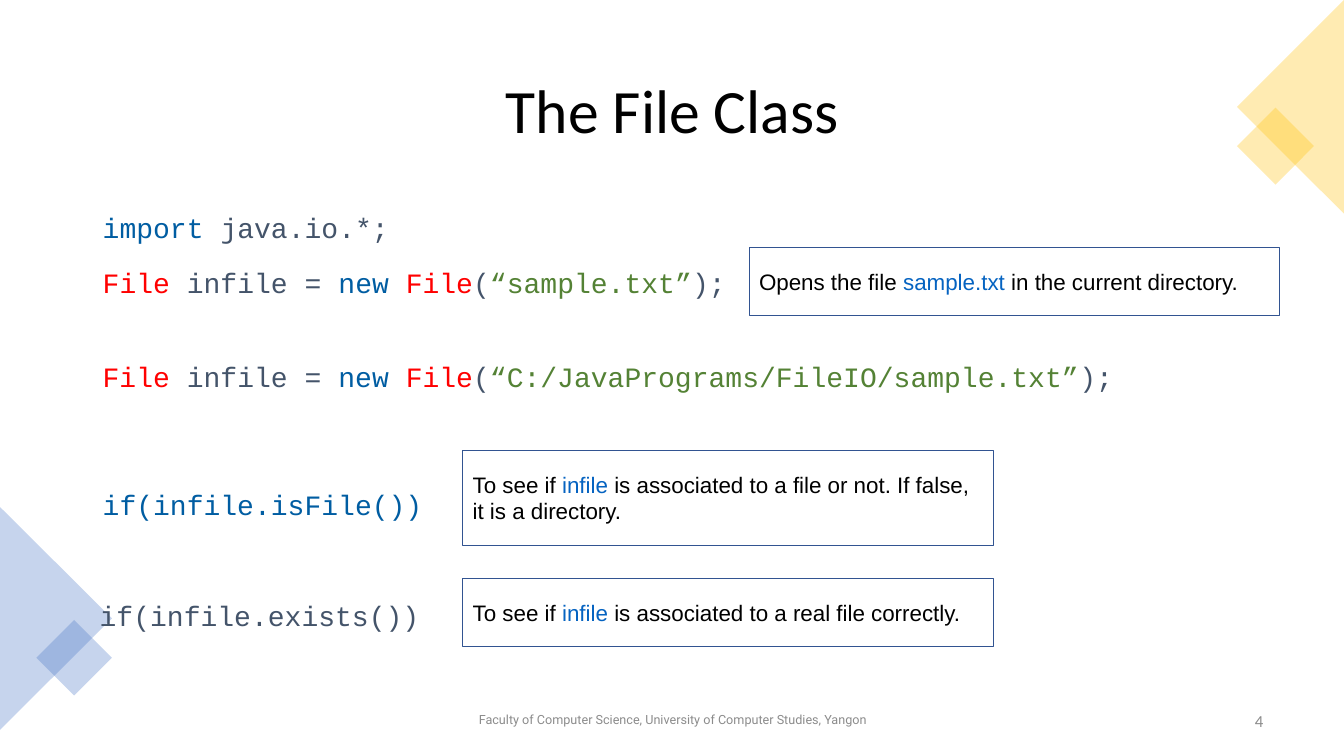
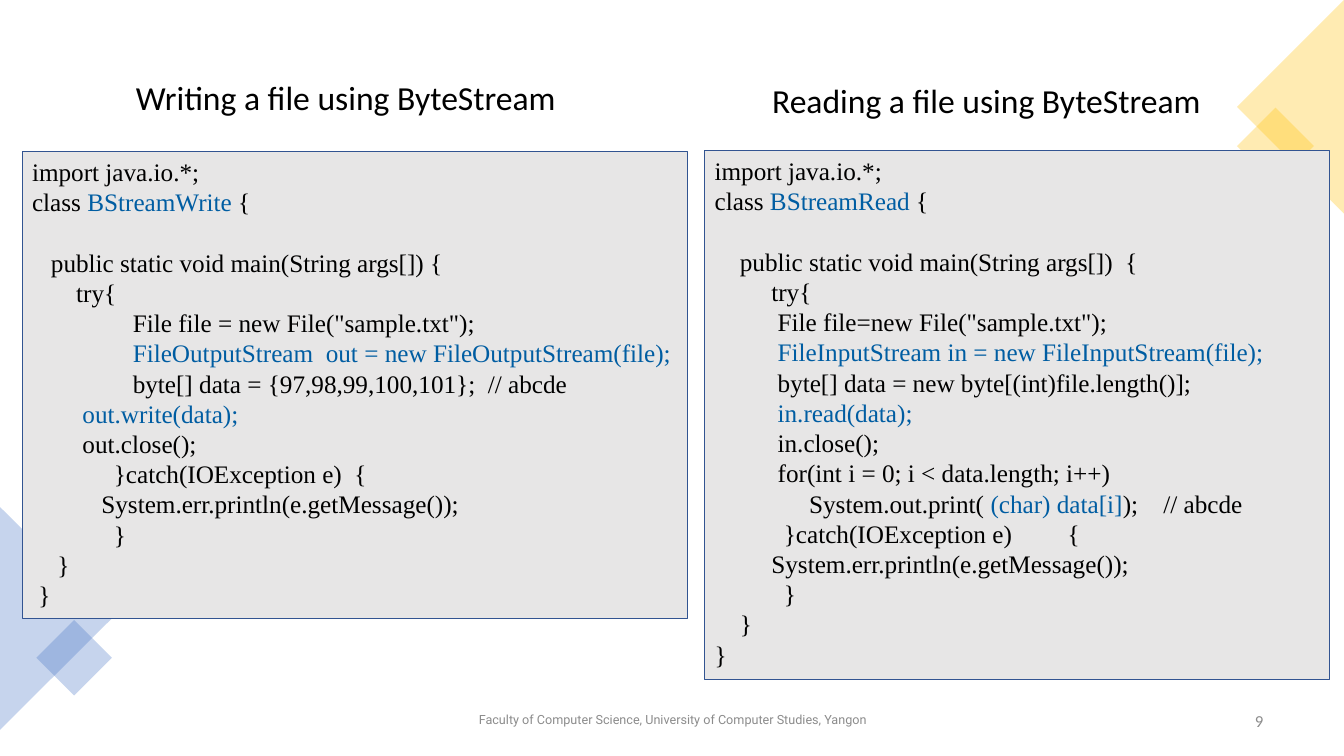
import pptx
import pptx.util
import pptx.dml.color
import pptx.enum.shapes
import pptx.enum.text
import pptx.oxml.ns
from dataclasses import dataclass
from lxml import etree

Inches = pptx.util.Inches
Pt = pptx.util.Pt
Kind = pptx.enum.shapes.MSO_SHAPE
Align = pptx.enum.text.PP_ALIGN
Anchor = pptx.enum.text.MSO_ANCHOR


@dataclass(frozen=True)
class Theme:
    black: str = "000000"
    slate: str = "44546A"
    blue: str = "005DA2"
    link: str = "0563C1"
    red: str = "FF0000"
    green: str = "548235"
    gray: str = "8C8C8C"
    panel: str = "E7E6E6"
    edge: str = "325491"
    cool: str = "4472C4"
    warm: str = "FFC000"
    sans: str = "Calibri"
    mono: str = "Courier New"
    serif: str = "Times New Roman"
    note: str = "Arial"
    small: str = "Roboto"
    title: int = 44
    head: int = 24
    code: int = 20
    block: int = 18
    call: int = 16
    page: int = 12
    foot: int = 9


T = Theme()


class Deck:
    """Holds the style and the current slide, and draws each kind of element."""

    def __init__(self):
        self.file = pptx.Presentation()
        self.file.slide_width = Inches(13.33)
        self.file.slide_height = Inches(7.5)
        self.slide = None

    def start(self, page):
        self.slide = self.file.slides.add_slide(self.file.slide_layouts[6])
        self.decor(Kind.ISOSCELES_TRIANGLE, -0.55, 5.58, 2.21, 1.11, 90, T.cool)
        self.decor(Kind.RECTANGLE, 0.47, 6.26, 0.53, 0.53, 45, T.cool)
        self.decor(Kind.RECTANGLE, 12.38, 1.18, 0.54, 0.54, 45, T.warm)
        self.decor(Kind.ISOSCELES_TRIANGLE, 11.74, 0.53, 2.12, 1.06, 270, T.warm)
        self.label("Faculty of Computer Science, University of Computer Studies, Yangon",
                   4.42, 6.95, 4.5, 0.4, T.small, T.foot, T.gray, Align.CENTER, Anchor.MIDDLE, 0.9)
        self.label(str(page), 9.63, 6.95, 3, 0.4, T.sans, T.page, T.gray,
                   Align.RIGHT, Anchor.MIDDLE)

    def shape(self, kind, x, y, w, h, fill=None, edge=None):
        item = self.slide.shapes.add_shape(kind, Inches(x), Inches(y), Inches(w), Inches(h))
        item.shadow.inherit = False
        if fill:
            item.fill.solid()
            item.fill.fore_color.rgb = self.tint(fill)
        else:
            item.fill.background()
        if edge:
            item.line.color.rgb = self.tint(edge)
            item.line.width = Pt(0.75)
        else:
            item.line.fill.background()
        return item

    def decor(self, kind, x, y, w, h, turn, color):
        item = self.shape(kind, x, y, w, h, color)
        item.rotation = turn
        tag = pptx.oxml.ns.qn
        hue = item.element.spPr.find(tag("a:solidFill")).find(tag("a:srgbClr"))
        etree.SubElement(hue, tag("a:alpha")).set("val", "30000")

    def tint(self, color):
        return pptx.dml.color.RGBColor.from_string(color)

    def put(self, frame, lines, font, size, color, align=Align.LEFT, lead=None):
        frame.word_wrap = True
        first, gap = True, 0
        for line in lines:
            if not line:
                gap += size * 1.2
                continue
            para = frame.paragraphs[0] if first else frame.add_paragraph()
            para.alignment = align
            para.font.name, para.font.size = font, Pt(size)
            para.font.color.rgb = self.tint(color)
            if lead:
                para.line_spacing = lead
            if gap:
                para.space_before = Pt(gap)
            for part in [line] if isinstance(line, str) else line:
                text, hue = (part, None) if isinstance(part, str) else part
                run = para.add_run()
                run.text = text
                if hue:
                    run.font.color.rgb = self.tint(hue)
            first, gap = False, 0

    def label(self, line, x, y, w, h, font, size, color=T.black,
              align=Align.LEFT, anchor=Anchor.TOP, lead=None):
        box = self.slide.shapes.add_textbox(Inches(x), Inches(y), Inches(w), Inches(h))
        box.text_frame.vertical_anchor = anchor
        self.put(box.text_frame, [line], font, size, color, align, lead)

    def code(self, line, x, y, w):
        self.label(line, x, y, w, 0.41, T.mono, T.code, T.slate, lead=0.9)

    def call(self, line, x, y, h):
        frame = self.shape(Kind.RECTANGLE, x, y, 5.26, h, edge=T.edge).text_frame
        frame.vertical_anchor = Anchor.TOP
        frame.margin_top = frame.margin_bottom = Inches(0.2)
        self.put(frame, [line], T.note, T.call, T.black)

    def panel(self, lines, x, y, w, h):
        frame = self.shape(Kind.RECTANGLE, x, y, w, h, T.panel, T.edge).text_frame
        frame.vertical_anchor = Anchor.TOP
        self.put(frame, lines, T.serif, T.block, T.black)


def opening(name):
    return [("File", T.red), " infile = ", ("new ", T.blue), ("File", T.red),
            "(", (f"“{name}”", T.green), ");"]


WRITER = [
    "import java.io.*;",
    ["class ", ("BStreamWrite", T.blue), " {"],
    "",
    "   public static void main(String args[]) {",
    "       try{",
    '                File file = new File("sample.txt");',
    [("                FileOutputStream  out = new FileOutputStream(file);", T.blue)],
    "                byte[] data = {97,98,99,100,101};  // abcde",
    [("\tout.write(data);", T.blue)],
    "\tout.close();",
    "             }catch(IOException e)  {",
    "\t   System.err.println(e.getMessage());",
    "             }",
    "    }",
    " }",
]

READER = [
    "import java.io.*;",
    ["class ", ("BStreamRead", T.blue), " {"],
    "",
    "    public static void main(String args[])  {",
    "         try{",
    '\t  File file=new File("sample.txt");',
    [("\t  FileInputStream in = new FileInputStream(file);", T.blue)],
    "\t  byte[] data = new byte[(int)file.length()];",
    [("\t  in.read(data);", T.blue)],
    "\t  in.close();",
    "\t  for(int i = 0; i < data.length; i++)",
    ["\t       System.out.print( ", ("(char) data[i]", T.blue), ");    // abcde"],
    "           }catch(IOException e)  \t{",
    "\t System.err.println(e.getMessage());",
    "           }",
    "    }",
    "}",
]


def main():
    deck = Deck()

    deck.start(4)
    deck.label("The File Class", 0.92, 0.4, 11.5, 1.45, T.sans, T.title,
               align=Align.CENTER, anchor=Anchor.MIDDLE, lead=0.9)
    deck.code([("import", T.blue), " java.io.*;"], 0.92, 2.08, 3.61)
    deck.code(opening("sample.txt"), 0.92, 2.62, 6.85)
    deck.code(opening("C:/JavaPrograms/FileIO/sample.txt"), 0.92, 3.55, 10.47)
    deck.code([("if(infile.isFile())", T.blue)], 0.92, 4.82, 3.61)
    deck.code("if(infile.exists())", 0.89, 5.93, 3.61)
    infile = ("infile", T.link)
    deck.call(["Opens the file ", ("sample.txt", T.link), " in the current directory."],
              7.43, 2.46, 0.67)
    deck.call(["To see if ", infile,
               " is associated to a file or not. If false, it is a directory."], 4.59, 4.47, 0.94)
    deck.call(["To see if ", infile, " is associated to a real file correctly."],
              4.59, 5.74, 0.67)

    deck.start(9)
    deck.panel(WRITER, 0.22, 1.5, 6.6, 4.64)
    deck.panel(READER, 6.99, 1.49, 6.2, 5.25)
    deck.label("Writing a file using ByteStream", 1.25, 0.71, 4.79, 0.5, T.sans, T.head)
    deck.label("Reading a file using ByteStream", 7.56, 0.74, 4.79, 0.5, T.sans, T.head)

    deck.file.save("out.pptx")


if __name__ == "__main__":
    main()
